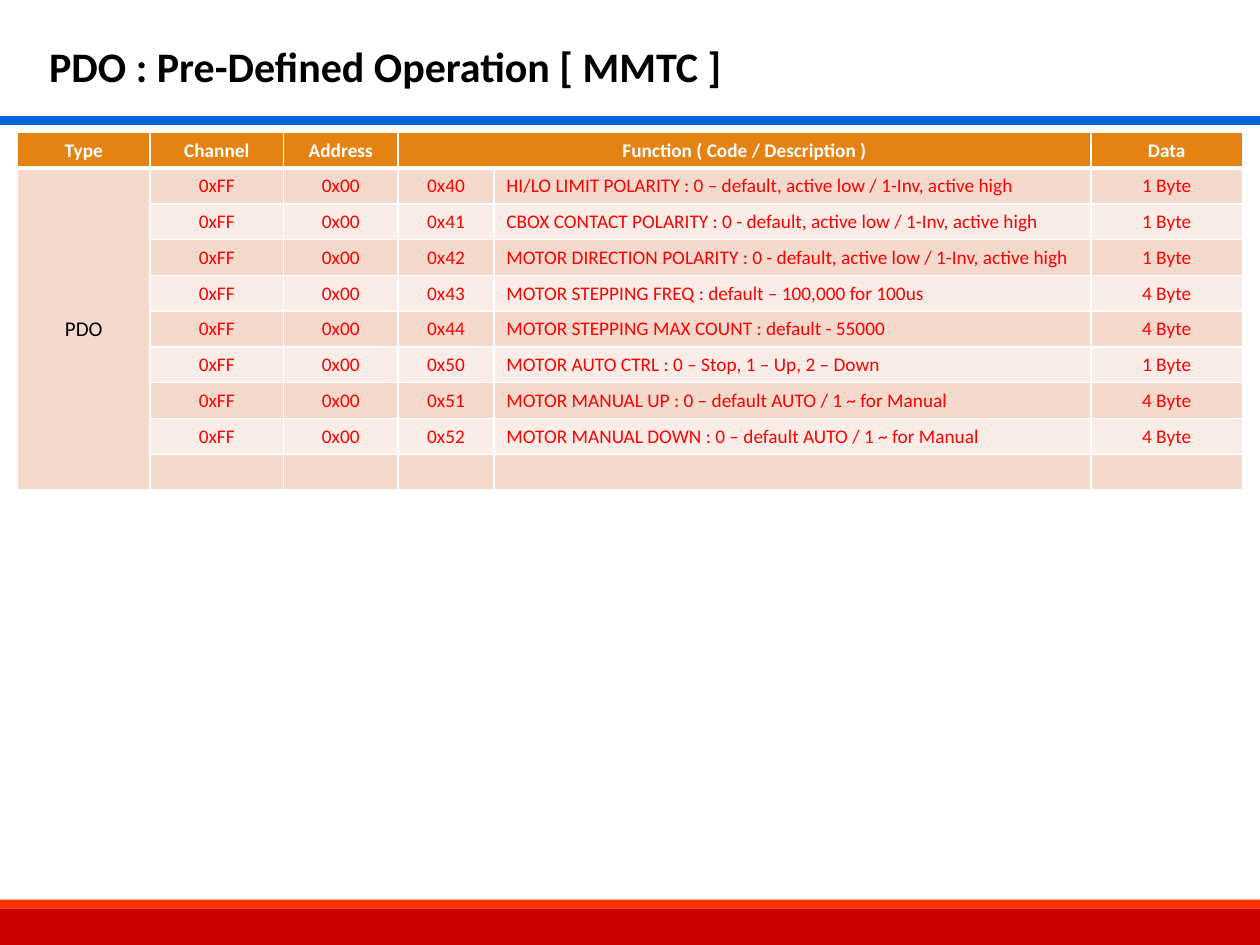
from lxml.etree import SubElement
from pptx import Presentation
from pptx.dml.color import RGBColor
from pptx.enum.shapes import MSO_SHAPE
from pptx.enum.text import MSO_ANCHOR, MSO_AUTO_SIZE, PP_ALIGN
from pptx.oxml.ns import qn
from pptx.util import Inches, Pt

FONT = "Calibri"
COLORS = {
    "black": "000000", "white": "FFFFFF", "red": "FF0000", "blue": "0064D2",
    "footer": "CC0000", "footer_edge": "FF3300",
    "header": "E48312", "band_dark": "F5D9CC", "band_light": "FAEDE7",
}
COL_WIDTHS = [1.05, 1.06, 0.91, 0.76, 4.74, 1.2]
ROW_HEIGHT = 0.28
DESCRIPTION_COL = 4
HEADERS = ["Type", "Channel", "Address", "Function ( Code / Description )", "", "Data"]
OPERATIONS = [
    ("0x40", "HI/LO LIMIT POLARITY : 0 – default, active low / 1-Inv, active high", "1 Byte"),
    ("0x41", "CBOX CONTACT POLARITY : 0 - default, active low / 1-Inv, active high", "1 Byte"),
    ("0x42", "MOTOR DIRECTION POLARITY : 0 - default, active low / 1-Inv, active high", "1 Byte"),
    ("0x43", "MOTOR STEPPING FREQ : default – 100,000 for 100us", "4 Byte"),
    ("0x44", "MOTOR STEPPING MAX COUNT : default - 55000", "4 Byte"),
    ("0x50", "MOTOR AUTO CTRL : 0 – Stop, 1 – Up, 2 – Down", "1 Byte"),
    ("0x51", "MOTOR MANUAL UP : 0 – default AUTO / 1 ~ for Manual", "4 Byte"),
    ("0x52", "MOTOR MANUAL DOWN : 0 – default AUTO / 1 ~ for Manual", "4 Byte"),
]


def rgb(name):
    """Return the named colour."""
    return RGBColor.from_string(COLORS[name])


def add_run(p, text, size, color, bold=False):
    """Append a formatted run to a paragraph."""
    r = p.add_run()
    r.text = text
    r.font.name = FONT
    r.font.size = Pt(size)
    r.font.bold = bold
    r.font.color.rgb = rgb(color)


def add_bar(s, top, height, color, line_width=None):
    """Draw a full-width horizontal bar."""
    sp = s.shapes.add_shape(MSO_SHAPE.RECTANGLE, 0, Inches(top), Inches(10), Inches(height))
    sp.shadow.inherit = False
    sp.fill.solid()
    sp.fill.fore_color.rgb = rgb(color)
    if line_width:
        sp.line.color.rgb = rgb(color)
        sp.line.width = Pt(line_width)
    else:
        sp.line.fill.background()


def set_title(s, text):
    """Place and fill the title placeholder."""
    sp = s.shapes.title
    sp.left, sp.top, sp.width, sp.height = map(Inches, (0.29, 0.27, 5.59, 0.5))
    tf = sp.text_frame
    tf.word_wrap = False
    tf.auto_size = MSO_AUTO_SIZE.SHAPE_TO_FIT_TEXT
    tf.vertical_anchor = MSO_ANCHOR.TOP
    p = tf.paragraphs[0]
    p.alignment = PP_ALIGN.LEFT
    add_run(p, text, 24, "black", True)


def set_borders(cell, top, bottom):
    """Give a cell white borders with the given top and bottom widths."""
    tcPr = cell._tc.get_or_add_tcPr()
    for side, width in (("L", 1), ("R", 1), ("T", top), ("B", bottom)):
        ln = SubElement(tcPr, qn(f"a:ln{side}"), w=str(Pt(width)))
        fill = SubElement(ln, qn("a:solidFill"))
        SubElement(fill, qn("a:srgbClr"), val=COLORS["white"])


def fill_cell(cell, text, fill, size, color, bold, align):
    """Set the fill and text of a table cell."""
    cell.fill.solid()
    cell.fill.fore_color.rgb = rgb(fill)
    cell.vertical_anchor = MSO_ANCHOR.MIDDLE
    p = cell.text_frame.paragraphs[0]
    p.alignment = align
    if text:
        add_run(p, text, size, color, bold)
    else:
        SubElement(p._p, qn("a:endParaRPr"), sz=str(size * 100))


def add_operations_table(s):
    """Build the table of operations."""
    rows = [HEADERS]
    rows += [["", "0xFF", "0x00", *operation] for operation in OPERATIONS]
    rows.append([""] * len(HEADERS))
    rows[1][0] = "PDO"
    table = s.shapes.add_table(
        len(rows), len(HEADERS), Inches(0.14), Inches(1.05),
        Inches(sum(COL_WIDTHS)), Inches(ROW_HEIGHT * len(rows))).table
    for column, width in zip(table.columns, COL_WIDTHS):
        column.width = Inches(width)
    for i, values in enumerate(rows):
        table.rows[i].height = Inches(ROW_HEIGHT)
        for j, text in enumerate(values):
            cell = table.cell(i, j)
            set_borders(cell, 3 if i == 1 else 1, 3 if i == 0 else 1)
            if i == 0:
                fill_cell(cell, text, "header", 11, "white", True, PP_ALIGN.CENTER)
            elif j == 0:
                fill_cell(cell, text, "band_dark", 12 if text else 11, "black", False, PP_ALIGN.CENTER)
            else:
                band = "band_dark" if i % 2 else "band_light"
                align = PP_ALIGN.LEFT if j == DESCRIPTION_COL else PP_ALIGN.CENTER
                fill_cell(cell, text, band, 11, "red", False, align)
    table.cell(0, 3).merge(table.cell(0, 4))
    table.cell(1, 0).merge(table.cell(len(rows) - 1, 0))


def main():
    """Build and save the slide."""
    prs = Presentation()
    prs.slide_width, prs.slide_height = Inches(10), Inches(7.5)
    s = prs.slides.add_slide(prs.slide_layouts[5])
    add_bar(s, 7.21, 0.29, "footer")
    add_bar(s, 7.14, 0.07, "footer_edge")
    add_bar(s, 0.93, 0.05, "blue", 1.25)
    set_title(s, "PDO : Pre-Defined Operation [ MMTC ]")
    add_operations_table(s)
    prs.save("out.pptx")


if __name__ == "__main__":
    main()
